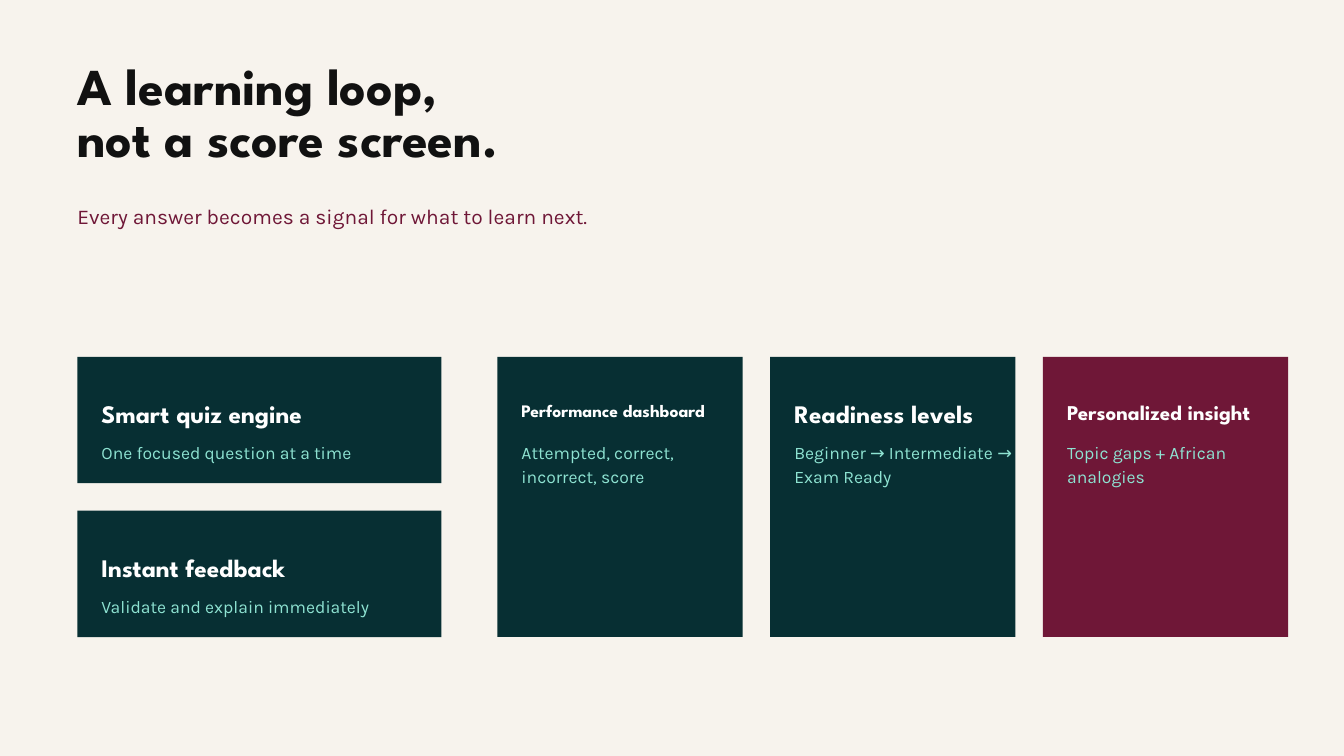
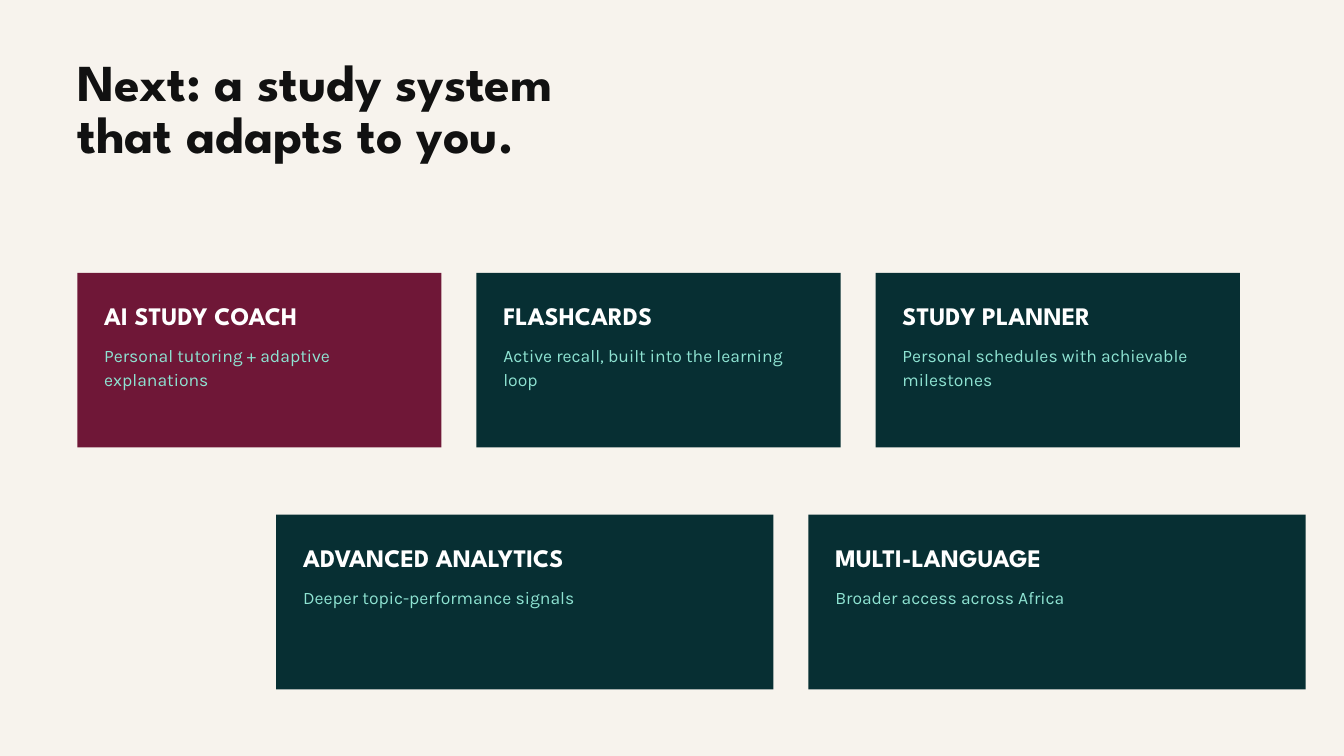
from dataclasses import dataclass

from pptx import Presentation
from pptx.dml.color import RGBColor as RGB
from pptx.enum.shapes import MSO_SHAPE as SHAPE
from pptx.enum.text import MSO_ANCHOR as ANCHOR, MSO_AUTO_SIZE as AUTOSIZE, PP_ALIGN as ALIGN
from pptx.util import Inches, Pt


@dataclass(frozen=True)
class Theme:
    paper: RGB = RGB.from_string("F7F3ED")
    ink: RGB = RGB.from_string("111111")
    teal: RGB = RGB.from_string("072F33")
    wine: RGB = RGB.from_string("6F1737")
    mint: RGB = RGB.from_string("8EE3D2")
    white: RGB = RGB.from_string("FFFFFF")
    display: str = "League Spartan"
    text: str = "Karla"
    title_size: float = 55.5
    lead_size: float = 22.5
    heading_size: float = 27
    detail_size: float = 18.8


theme = Theme()
MARGIN = 1.15
HEADING_LEADING = 1.05
TEXT_LEADING = 1.35


def write(box, text, *, size, color, font=theme.text, bold=False, leading=TEXT_LEADING):
    """Fill a box with one paragraph per line of text."""
    frame = box.text_frame
    frame.margin_left = frame.margin_right = frame.margin_top = frame.margin_bottom = 0
    frame.word_wrap = True
    frame.vertical_anchor = ANCHOR.TOP
    frame.auto_size = AUTOSIZE.SHAPE_TO_FIT_TEXT
    frame.text = text
    for paragraph in frame.paragraphs:
        paragraph.alignment = ALIGN.LEFT
        paragraph.line_spacing = Pt(round(size * leading, 1))
        style = paragraph.runs[0].font
        style.name, style.size, style.bold = font, Pt(size), bold
        style.color.rgb = color


def add_card(slide, box, heading, detail, *, inset, drops, text_width,
             fill=theme.teal, heading_size=theme.heading_size, detail_lines=1):
    """Group a coloured panel with its heading and detail; drops are their offsets from the top."""
    left, top, width, height = box
    card = slide.shapes.add_group_shape().shapes
    panel = card.add_shape(SHAPE.RECTANGLE, *map(Inches, box))
    panel.shadow.inherit = False
    panel.fill.solid()
    panel.fill.fore_color.rgb = fill
    panel.line.fill.background()

    heading_drop, detail_drop = drops
    heading_height = heading_size * 1.1 / 72
    heading_box = card.add_textbox(*map(Inches, (left + inset, top + heading_drop,
                                                 text_width, heading_height)))
    write(heading_box, heading, size=heading_size, color=theme.white,
          font=theme.display, bold=True, leading=HEADING_LEADING)
    detail_box = card.add_textbox(*map(Inches, (left + inset, top + detail_drop,
                                                text_width, 0.34 * detail_lines)))
    write(detail_box, detail, size=theme.detail_size, color=theme.mint)


# Deck: size and shared background
prs = Presentation()
prs.slide_width, prs.slide_height = Inches(20), Inches(11.25)
backdrop = prs.slide_master.background.fill
backdrop.solid()
backdrop.fore_color.rgb = theme.paper

# Both slides and their titles
titles = [
    ("A learning loop,\nnot a score screen.", 0.95, 9.17),
    ("Next: a study system\nthat adapts to you.", 0.9, 11.46),
]
slides = []
for wording, top, width in titles:
    slide = prs.slides.add_slide(prs.slide_layouts[5])
    title = slide.shapes.title
    title.left, title.top, title.width, title.height = map(Inches, (MARGIN, top, width, 1.58))
    write(title, wording, size=theme.title_size, color=theme.ink,
          font=theme.display, bold=True, leading=1)
    slides.append(slide)
loop_slide, next_slide = slides

# Slide 1: lead sentence
lead = loop_slide.shapes.add_textbox(*map(Inches, (MARGIN, 2.98, 7.92, 0.41)))
write(lead, "Every answer becomes a signal for what to learn next.",
      size=theme.lead_size, color=theme.wine)

# Slide 1: two stacked quiz steps
GAP = 0.41
STEP_TOP, STEP_WIDTH, STEP_HEIGHT = 5.31, 5.42, 1.88
loop_format = dict(inset=0.36, drops=(0.68, 1.23))
quiz_steps = [
    ("Smart quiz engine", "One focused question at a time"),
    ("Instant feedback", "Validate and explain immediately"),
]
for row, (heading, detail) in enumerate(quiz_steps):
    step_box = (MARGIN, STEP_TOP + row * (STEP_HEIGHT + GAP), STEP_WIDTH, STEP_HEIGHT)
    add_card(loop_slide, step_box, heading, detail, text_width=4.9, **loop_format)

# Slide 1: three tall result columns, as high as the two steps together
RESULT_LEFT, RESULT_WIDTH = 7.4, 3.65
RESULT_HEIGHT = 2 * STEP_HEIGHT + GAP
results = [
    ("Performance dashboard", "Attempted, correct, incorrect, score", 18.8, theme.teal),
    ("Readiness levels", "Beginner → Intermediate → Exam Ready", theme.heading_size, theme.teal),
    ("Personalized insight", "Topic gaps + African analogies", 22.5, theme.wine),
]
for column, (heading, detail, size, fill) in enumerate(results):
    result_box = (RESULT_LEFT + column * (RESULT_WIDTH + GAP), STEP_TOP,
                  RESULT_WIDTH, RESULT_HEIGHT)
    add_card(loop_slide, result_box, heading, detail, text_width=3.33, fill=fill,
             heading_size=size, detail_lines=2, **loop_format)

# Slide 2: two rows of planned features
FEATURE_GAP, FEATURE_HEIGHT, FEATURE_INSET = 0.52, 2.6, 0.4
feature_rows = [
    (MARGIN, 4.06, 5.42, 2, [
        ("AI STUDY COACH", "Personal tutoring + adaptive explanations", theme.wine),
        ("FLASHCARDS", "Active recall, built into the learning loop", theme.teal),
        ("STUDY PLANNER", "Personal schedules with achievable milestones", theme.teal),
    ]),
    (4.11, 7.66, 7.4, 1, [
        ("ADVANCED ANALYTICS", "Deeper topic-performance signals", theme.teal),
        ("MULTI-LANGUAGE", "Broader access across Africa", theme.teal),
    ]),
]
for left, top, width, detail_lines, features in feature_rows:
    for column, (heading, detail, fill) in enumerate(features):
        feature_box = (left + column * (width + FEATURE_GAP), top, width, FEATURE_HEIGHT)
        add_card(next_slide, feature_box, heading, detail, inset=FEATURE_INSET,
                 drops=(0.46, 1.04), text_width=width - 2 * FEATURE_INSET,
                 fill=fill, detail_lines=detail_lines)

prs.save("out.pptx")
